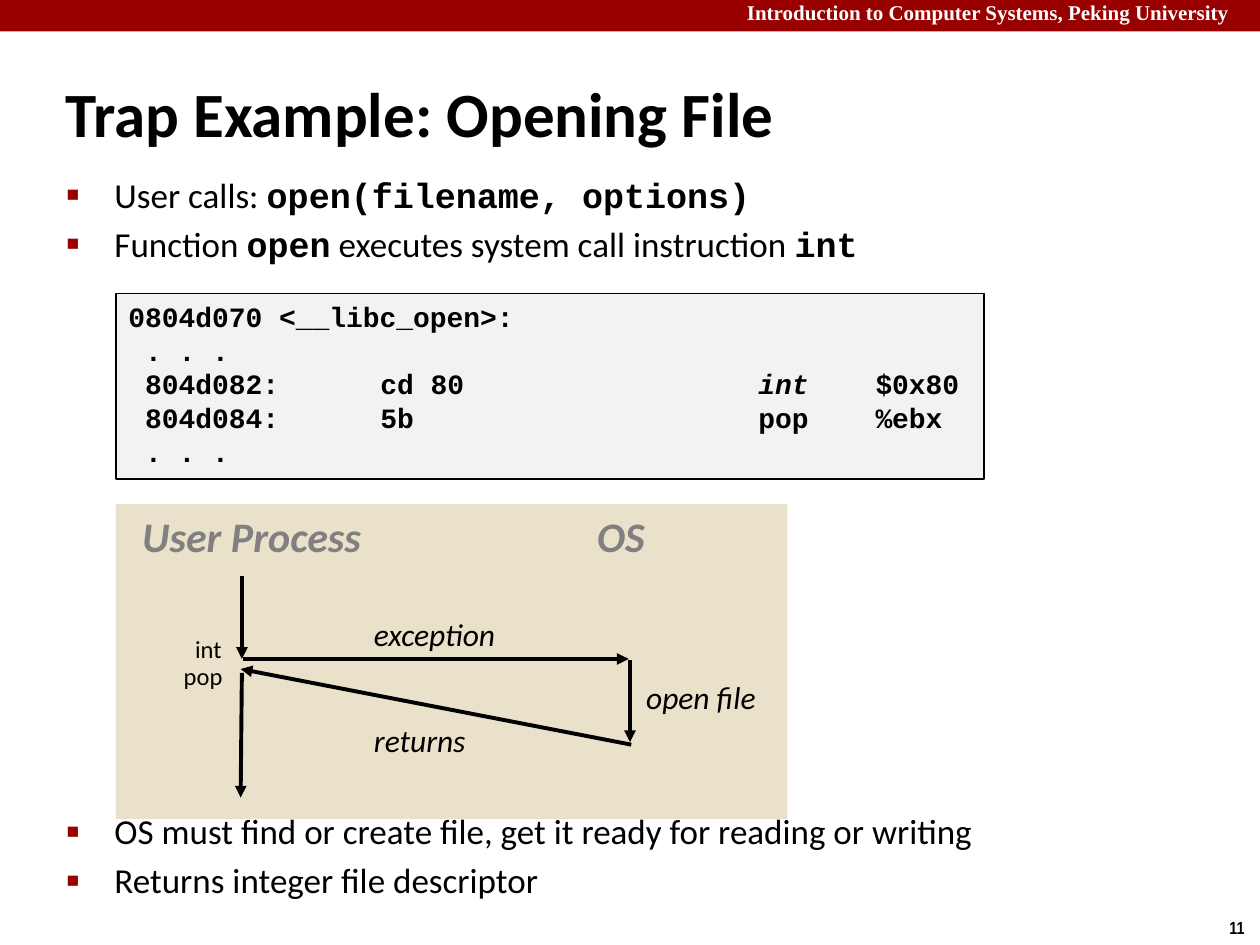
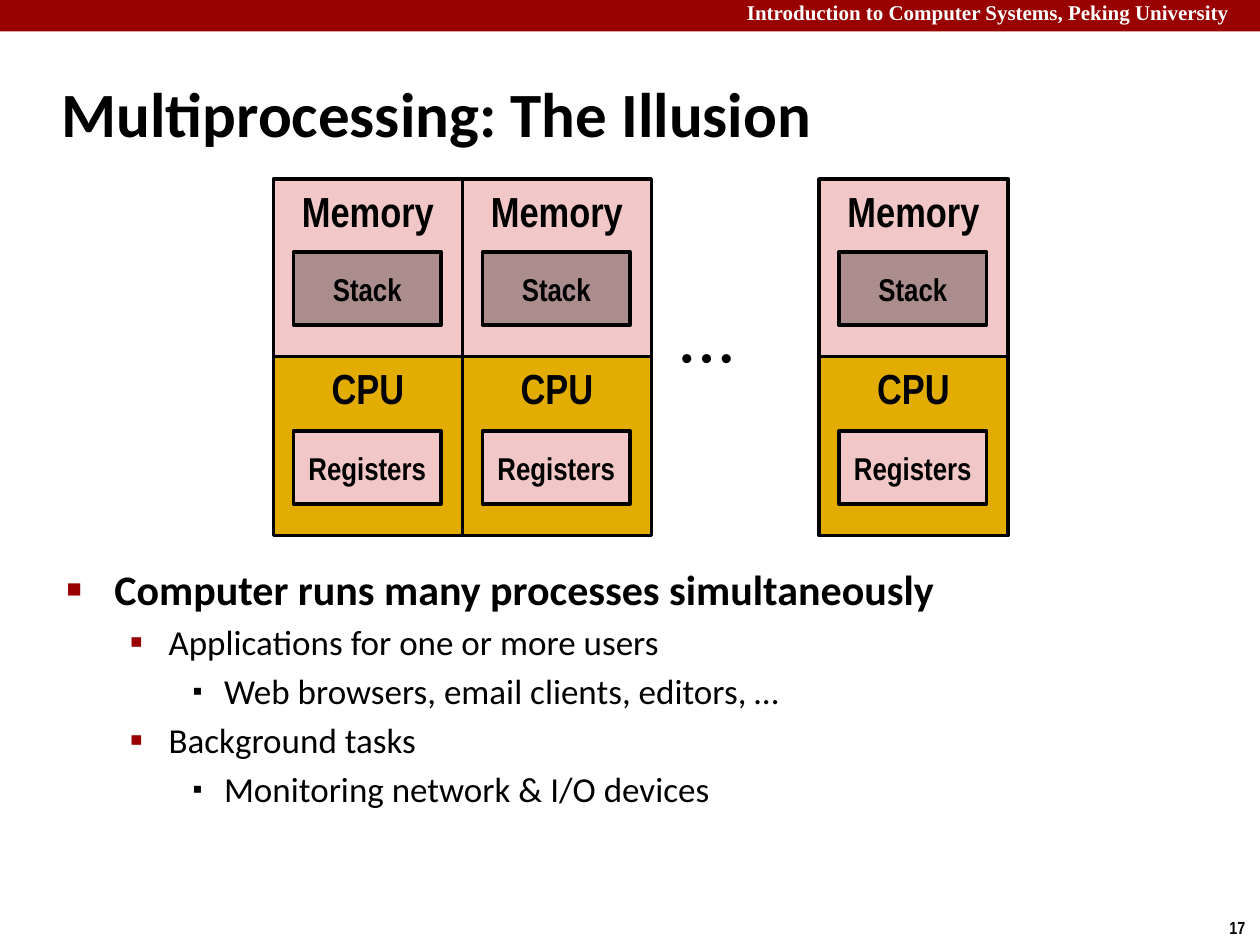
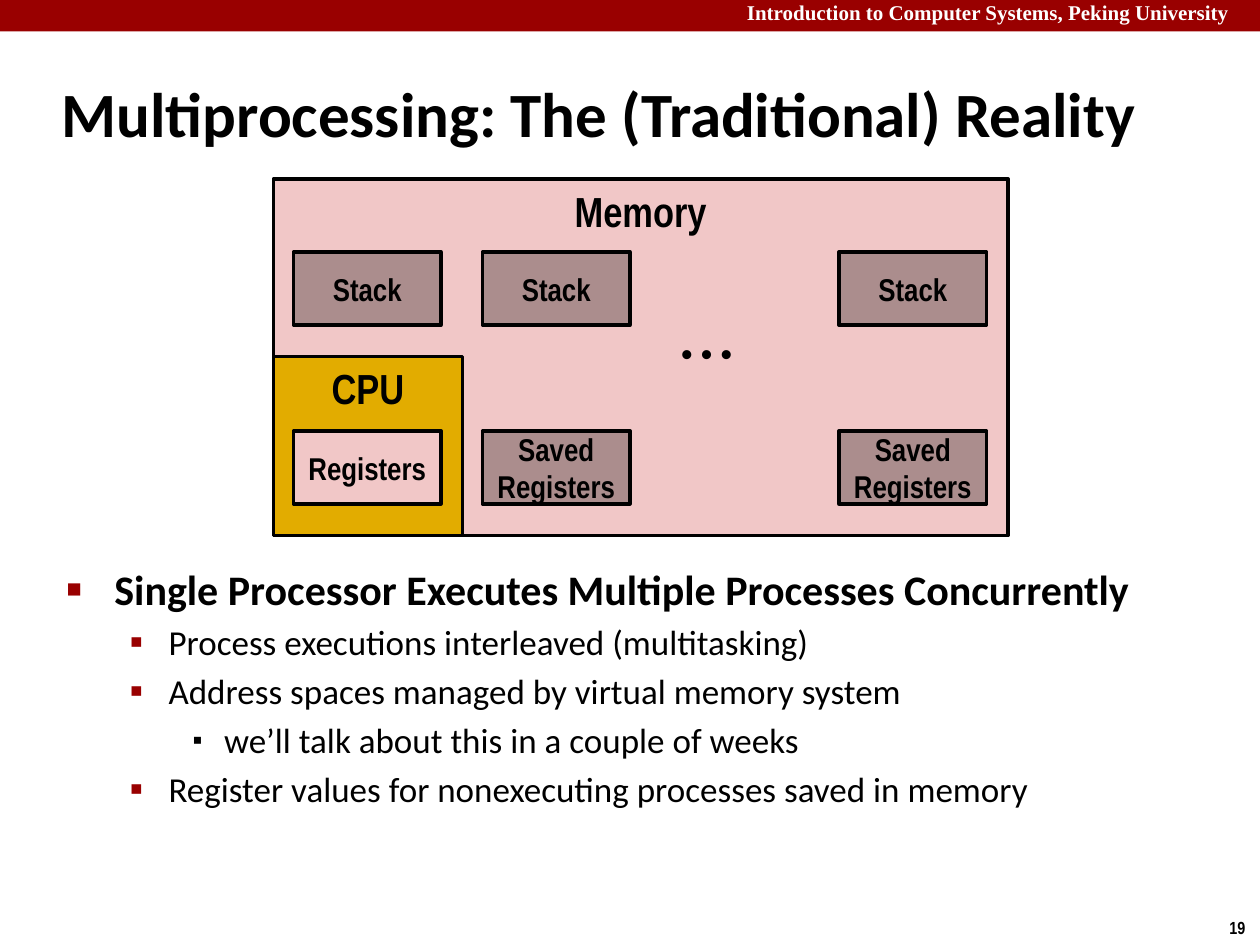
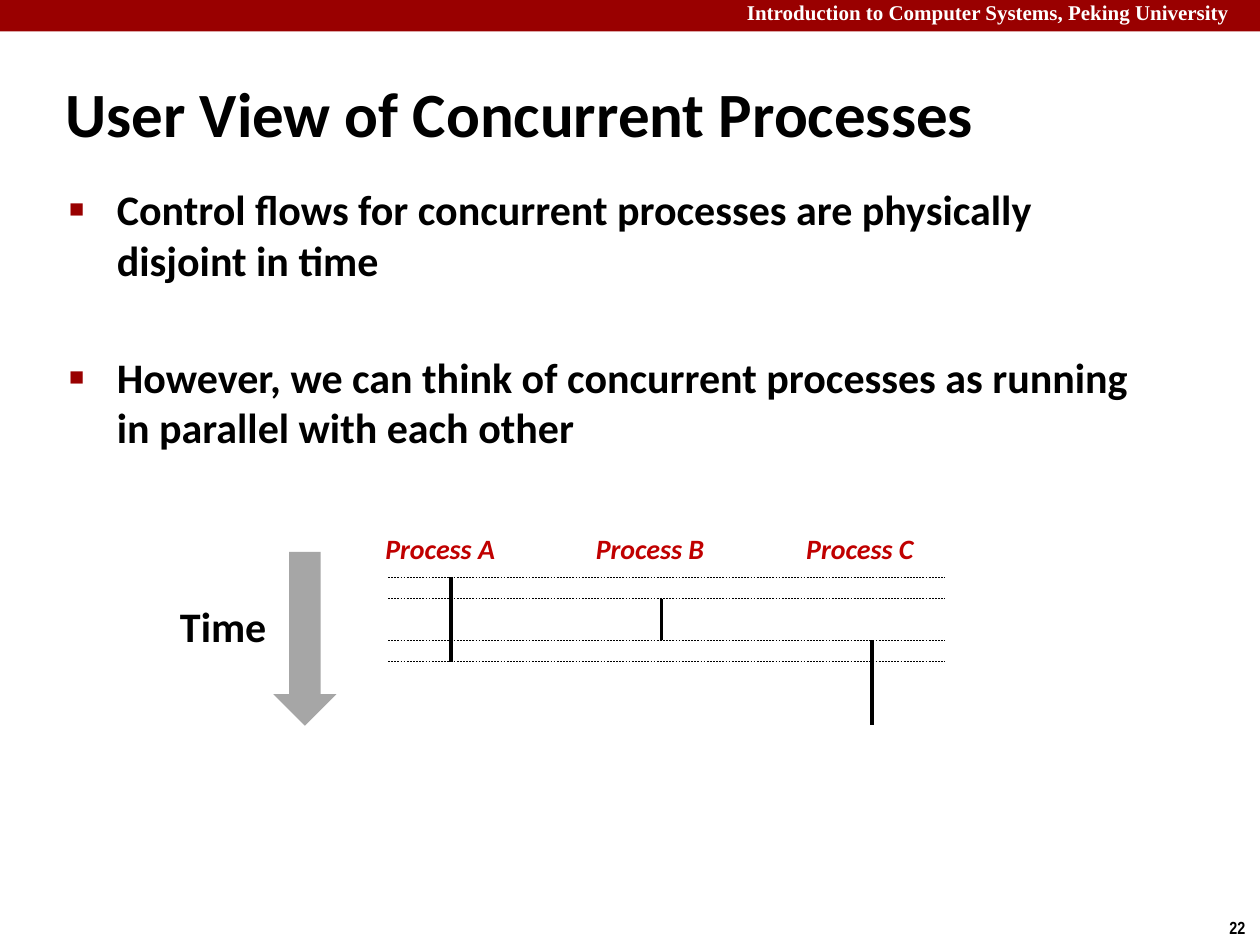
from dataclasses import dataclass
from typing import Optional

import pptx
import pptx.dml.color
import pptx.enum.dml
import pptx.enum.shapes
import pptx.enum.text
import pptx.oxml
import pptx.oxml.ns
import pptx.presentation
import pptx.shapes.autoshape
import pptx.slide
import pptx.text.text
import pptx.util
from pptx.util import Inches

COLORS = {
    "band": "990000",
    "white": "FFFFFF",
    "ink": "000000",
    "panel": "E9E1C9",
    "code": "F2F2F2",
    "heading": "808080",
    "memory": "F1C7C7",
    "cpu": "E2AC00",
    "saved": "AB8D8D",
    "process": "C00000",
    "time": "A6A6A6",
}
SHAPES = pptx.enum.shapes.MSO_SHAPE
TOP = pptx.enum.text.MSO_ANCHOR.TOP
MIDDLE = pptx.enum.text.MSO_ANCHOR.MIDDLE
CENTER = pptx.enum.text.PP_ALIGN.CENTER


@dataclass(frozen=True)
class Box:
    left: float
    top: float
    width: float
    height: float


@dataclass(frozen=True)
class Style:
    size: float
    face: str = "Calibri"
    color: str = "ink"
    bold: bool = False
    italic: bool = False


@dataclass(frozen=True)
class Run:
    text: str
    code: bool = False
    italic: bool = False


@dataclass(frozen=True)
class Level:
    indent: float
    hanging: float
    mark: str
    mark_percent: int
    mark_color: str


@dataclass(frozen=True)
class Bullet:
    level: int
    size: float
    runs: tuple[Run, ...]
    bold: bool = False
    gap: Optional[float] = None


@dataclass(frozen=True)
class Label:
    text: str
    box: Box
    style: Style
    wrap: bool = False


@dataclass(frozen=True)
class Stroke:
    start: tuple[float, float]
    end: tuple[float, float]


LEVELS = (
    Level(0.38, 0.38, "■", 60, "band"),
    Level(0.81, 0.31, "▪", 110, "band"),
    Level(1.25, 0.25, "▪", 80, "ink"),
)
TITLE = Style(36, bold=True)
HEADER = Style(12, "Times New Roman", "white", bold=True)
PAGE = Style(10, "Arial Narrow", bold=True)
CODE = Style(16, "Courier New", bold=True)
ACTOR = Style(24, color="heading", bold=True, italic=True)
STEP = Style(18, italic=True)
INSTRUCTION = Style(14)
UNIT = Style(24, "Arial Narrow", bold=True)
PART = Style(18, "Arial Narrow", bold=True)
DOTS = Style(18, "Arial", bold=True)
PROCESS = Style(16, color="process", bold=True, italic=True)
TIME = Style(24, bold=True)

UNIT_WIDTH, UNIT_HEIGHT = 1.5, 1.42
MEMORY_TOP, CPU_TOP = 1.42, 2.83
STACK_TOP, REGISTERS_TOP = 2, 3.42
MACHINE_LEFTS = (2.17, 3.67, 6.5)
SUMMARY_BOX = Box(0.43, 4.42, 8.64, 2.51)


def rgb(name: str) -> pptx.dml.color.RGBColor:
    return pptx.dml.color.RGBColor.from_string(COLORS[name])


def lengths(box: Box) -> tuple[pptx.util.Length, ...]:
    return tuple(Inches(n) for n in (box.left, box.top, box.width, box.height))


def add_xml(parent, xml: str) -> None:
    namespace = pptx.oxml.ns.nsdecls("a")
    tag, rest = xml[:-2].split(" ", 1) if " " in xml[:-2] else (xml[:-2], "")
    parent.append(pptx.oxml.parse_xml(f"{tag} {namespace} {rest}/>"))


def set_font(font: pptx.text.text.Font, style: Style) -> None:
    font.name = style.face
    font.size = pptx.util.Pt(style.size)
    font.bold = style.bold
    font.italic = style.italic
    font.color.rgb = rgb(style.color)


def add_label(slide: pptx.slide.Slide, label: Label) -> pptx.text.text.TextFrame:
    frame = slide.shapes.add_textbox(*lengths(label.box)).text_frame
    frame.word_wrap = label.wrap
    paragraph = frame.paragraphs[0]
    paragraph.text = label.text
    set_font(paragraph.font, label.style)
    return frame


def add_block(
    slide: pptx.slide.Slide,
    box: Box,
    fill: str,
    border: float = 0,
    shape: SHAPES = SHAPES.RECTANGLE,
) -> pptx.shapes.autoshape.Shape:
    block = slide.shapes.add_shape(shape, *lengths(box))
    block.shadow.inherit = False
    block.fill.solid()
    block.fill.fore_color.rgb = rgb(fill)
    if border:
        block.line.color.rgb = rgb("ink")
        block.line.width = pptx.util.Pt(border)
    else:
        block.line.fill.background()
    return block


def add_stroke(
    slide: pptx.slide.Slide,
    stroke: Stroke,
    width: float,
    arrow: bool = False,
    dashed: bool = False,
) -> None:
    ends = (Inches(n) for n in (*stroke.start, *stroke.end))
    connector = slide.shapes.add_connector(
        pptx.enum.shapes.MSO_CONNECTOR.STRAIGHT, *ends
    )
    connector.line.color.rgb = rgb("ink")
    connector.line.width = pptx.util.Pt(width)
    if dashed:
        connector.line.dash_style = pptx.enum.dml.MSO_LINE.DASH
    properties = connector._element.spPr
    if arrow:
        add_xml(properties.find(pptx.oxml.ns.qn("a:ln")), '<a:tailEnd type="triangle"/>')
    add_xml(properties, "<a:effectLst/>")


def add_bullets(slide: pptx.slide.Slide, box: Box, bullets: tuple[Bullet, ...]) -> None:
    frame = slide.shapes.add_textbox(*lengths(box)).text_frame
    frame.word_wrap = True
    for index, bullet in enumerate(bullets):
        paragraph = frame.add_paragraph() if index else frame.paragraphs[0]
        level = LEVELS[bullet.level]
        properties = paragraph._p.get_or_add_pPr()
        properties.set("marL", str(Inches(level.indent)))
        properties.set("indent", str(-Inches(level.hanging)))
        color = pptx.oxml.parse_xml(
            f'<a:buClr {pptx.oxml.ns.nsdecls("a")}>'
            f'<a:srgbClr val="{COLORS[level.mark_color]}"/></a:buClr>'
        )
        properties.append(color)
        add_xml(properties, f'<a:buSzPct val="{level.mark_percent * 1000}"/>')
        add_xml(properties, '<a:buFont typeface="Arial"/>')
        add_xml(properties, f'<a:buChar char="{level.mark}"/>')
        paragraph.level = bullet.level
        if index:
            gap = bullet.size * 0.2 if bullet.gap is None else bullet.gap
            paragraph.space_before = pptx.util.Pt(gap)
        set_font(paragraph.font, Style(bullet.size, bold=bullet.bold))
        for piece in bullet.runs:
            run = paragraph.add_run()
            run.text = piece.text
            if piece.code:
                run.font.name = CODE.face
                run.font.bold = True


def add_slide(
    deck: pptx.presentation.Presentation, title: str, title_box: Box, page: int
) -> pptx.slide.Slide:
    slide = deck.slides.add_slide(deck.slide_layouts[6])
    add_block(slide, Box(0, 0, 10, 0.25), "band")
    course = "Introduction to Computer Systems, Peking University"
    add_label(slide, Label(course, Box(5.83, -0.05, 4.17, 0.3), HEADER, wrap=True))
    add_label(slide, Label(str(page), Box(9.66, 7.23, 0.34, 0.27), PAGE))
    heading = add_label(slide, Label(title, title_box, TITLE, wrap=True))
    heading.vertical_anchor = MIDDLE
    return slide


def add_unit(
    slide: pptx.slide.Slide, text: str, box: Box, fill: str, style: Style = UNIT
) -> None:
    frame = add_block(slide, box, fill, border=2).text_frame
    frame.word_wrap = True
    frame.vertical_anchor = TOP if style is UNIT else MIDDLE
    paragraph = frame.paragraphs[0]
    paragraph.text = text
    paragraph.alignment = CENTER
    set_font(paragraph.font, style)


def add_part(
    slide: pptx.slide.Slide, text: str, machine_left: float, top: float, fill: str
) -> None:
    add_unit(slide, text, Box(machine_left + 0.16, top, 1.17, 0.58), fill, PART)


def add_cpu(slide: pptx.slide.Slide, left: float) -> None:
    add_unit(slide, "CPU", Box(left, CPU_TOP, UNIT_WIDTH, UNIT_HEIGHT), "cpu")
    add_part(slide, "Registers", left, REGISTERS_TOP, "memory")


def add_dots(slide: pptx.slide.Slide, top: float) -> None:
    add_label(slide, Label("• • •", Box(5.31, top, 1.05, 0.4), DOTS, wrap=True))


def add_listing(slide: pptx.slide.Slide) -> None:
    lines = (
        (Run("0804d070 <__libc_open>:"),),
        (Run(" . . ."),),
        (Run(" 804d082:\tcd 80\t"), Run("int", italic=True), Run("\t$0x80")),
        (Run(" 804d084:\t5b\tpop\t%ebx"),),
        (Run(" . . ."),),
    )
    frame = add_block(slide, Box(0.92, 2.33, 6.89, 1.47), "code", border=1).text_frame
    frame.word_wrap = True
    frame.vertical_anchor = TOP
    for index, line in enumerate(lines):
        paragraph = frame.add_paragraph() if index else frame.paragraphs[0]
        paragraph.alignment = pptx.enum.text.PP_ALIGN.LEFT
        stops = "".join(
            f'<a:tab pos="{Inches(stop)}" algn="l"/>' for stop in (2, 5, 5.93)
        )
        paragraph._p.get_or_add_pPr().append(
            pptx.oxml.parse_xml(
                f'<a:tabLst {pptx.oxml.ns.nsdecls("a")}>{stops}</a:tabLst>'
            )
        )
        set_font(paragraph.font, CODE)
        for piece in line:
            run = paragraph.add_run()
            run.text = piece.text
            if piece.italic:
                run.font.italic = True


def build_trap(deck: pptx.presentation.Presentation) -> None:
    slide = add_slide(
        deck, "Trap Example: Opening File", Box(0.42, 0.58, 6.05, 0.63), 11
    )
    add_block(slide, Box(0.92, 4, 5.33, 2.5), "panel")
    bullets = (
        Bullet(0, 20, (Run("User calls: "), Run("open(filename, options)", code=True))),
        Bullet(
            0,
            20,
            (
                Run("Function "),
                Run("open", code=True),
                Run(" executes system call instruction "),
                Run("int", code=True),
            ),
        ),
        Bullet(
            0,
            20,
            (Run("OS must find or create file, get it ready for reading or writing"),),
            gap=311.5,
        ),
        Bullet(0, 20, (Run("Returns integer file descriptor"),)),
    )
    add_bullets(slide, Box(0.43, 1.33, 9.15, 6), bullets)
    add_listing(slide)
    control_flow = (
        Stroke((1.92, 4.57), (1.92, 5.23)),
        Stroke((1.93, 5.23), (4.99, 5.23)),
        Stroke((5, 5.24), (5, 5.89)),
        Stroke((5.01, 5.91), (1.91, 5.31)),
        Stroke((1.92, 5.34), (1.91, 6.33)),
    )
    for stroke in control_flow:
        add_stroke(slide, stroke, 2.25, arrow=True)
    labels = (
        Label("User Process", Box(1.03, 4, 1.97, 0.5), ACTOR),
        Label("OS", Box(4.64, 4, 0.59, 0.5), ACTOR),
        Label("exception", Box(2.87, 4.83, 1.17, 0.4), STEP),
        Label("open file", Box(5.03, 5.33, 1.33, 0.4), STEP, wrap=True),
        Label("returns", Box(2.87, 5.67, 0.93, 0.4), STEP),
        Label("int", Box(1.45, 4.98, 0.42, 0.34), INSTRUCTION),
        Label("pop", Box(1.36, 5.2, 0.51, 0.34), INSTRUCTION),
    )
    for label in labels:
        add_label(slide, label)


def build_illusion(deck: pptx.presentation.Presentation) -> None:
    slide = add_slide(
        deck, "Multiprocessing: The Illusion", Box(0.39, 0.48, 8.3, 0.83), 17
    )
    bullets = (
        Bullet(0, 24, (Run("Computer runs many processes simultaneously"),), bold=True),
        Bullet(1, 20, (Run("Applications for one or more users"),)),
        Bullet(2, 20, (Run("Web browsers, email clients, editors, …"),)),
        Bullet(1, 20, (Run("Background tasks"),)),
        Bullet(2, 20, (Run("Monitoring network & I/O devices"),)),
    )
    add_bullets(slide, SUMMARY_BOX, bullets)
    for left in MACHINE_LEFTS:
        memory_box = Box(left, MEMORY_TOP, UNIT_WIDTH, UNIT_HEIGHT)
        add_unit(slide, "Memory", memory_box, "memory")
        add_cpu(slide, left)
        add_part(slide, "Stack", left, STACK_TOP, "saved")
    add_dots(slide, 2.63)


def build_reality(deck: pptx.presentation.Presentation) -> None:
    slide = add_slide(
        deck,
        "Multiprocessing: The (Traditional) Reality",
        Box(0.39, 0.48, 9.28, 0.83),
        19,
    )
    headline = "Single Processor Executes Multiple Processes Concurrently"
    register_note = "Register values for nonexecuting processes saved in memory"
    bullets = (
        Bullet(0, 24, (Run(headline),), bold=True),
        Bullet(1, 20, (Run("Process executions interleaved (multitasking)"),)),
        Bullet(1, 20, (Run("Address spaces managed by virtual memory system"),)),
        Bullet(2, 20, (Run("we’ll talk about this in a couple of weeks"),)),
        Bullet(1, 20, (Run(register_note),)),
    )
    add_bullets(slide, SUMMARY_BOX, bullets)
    running, *waiting = MACHINE_LEFTS
    add_unit(slide, "Memory", Box(running, MEMORY_TOP, 5.83, 2.83), "memory")
    add_cpu(slide, running)
    for left in MACHINE_LEFTS:
        add_part(slide, "Stack", left, STACK_TOP, "saved")
    for left in waiting:
        add_part(slide, "Saved Registers", left, REGISTERS_TOP, "saved")
    add_dots(slide, 2.6)


def build_user_view(deck: pptx.presentation.Presentation) -> None:
    slide = add_slide(
        deck, "User View of Concurrent Processes", Box(0.42, 0.58, 9.25, 0.63), 22
    )
    disjoint = "Control flows for concurrent processes are physically disjoint in time"
    parallel = (
        "However, we can think of concurrent processes as running "
        "in parallel with each other"
    )
    bullets = (
        Bullet(0, 24, (Run(disjoint),), bold=True),
        Bullet(0, 24, (Run(parallel),), bold=True, gap=38),
    )
    add_bullets(slide, Box(0.45, 1.41, 8.64, 2.18), bullets)
    add_label(slide, Label("Time", Box(1.33, 4.72, 0.89, 0.5), TIME))
    for moment in (4.58, 4.75, 5.08, 5.25):
        add_stroke(slide, Stroke((3.08, moment), (7.5, moment)), 0.25, dashed=True)
    active_times = {
        "A": (4.58, 4.92, 5.25),
        "B": (4.75, 5.08),
        "C": (5.08, 5.42, 5.75),
    }
    for index, (name, times) in enumerate(active_times.items()):
        offset = 1.67 * index
        name_box = Box(2.96 + offset, 4.17, 1.09, 0.37)
        add_label(slide, Label(f"Process {name}", name_box, PROCESS))
        lane = 3.58 + offset
        for start, end in zip(times, times[1:]):
            add_stroke(slide, Stroke((lane, start), (lane, end)), 2)
    add_block(slide, Box(2.17, 4.38, 0.5, 1.38), "time", shape=SHAPES.DOWN_ARROW)


def main() -> None:
    deck = pptx.Presentation()
    deck.slide_width = Inches(10)
    deck.slide_height = Inches(7.5)
    for build in (build_trap, build_illusion, build_reality, build_user_view):
        build(deck)
    deck.save("out.pptx")


if __name__ == "__main__":
    main()
